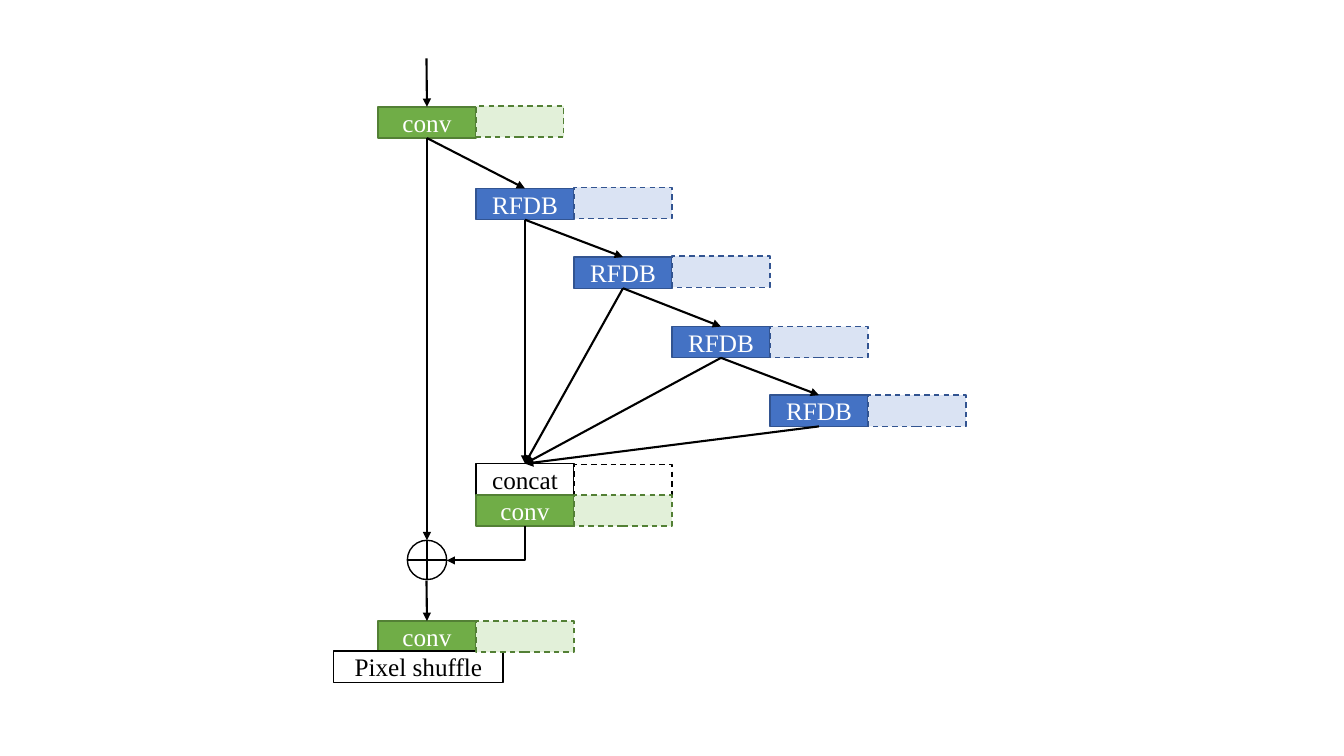
"""Draw the residual feature distillation network as a block diagram."""
from lxml import etree
from pptx import Presentation
from pptx.dml.color import RGBColor
from pptx.enum.dml import MSO_LINE
from pptx.enum.shapes import MSO_CONNECTOR, MSO_SHAPE
from pptx.enum.text import MSO_ANCHOR, PP_ALIGN
from pptx.oxml.ns import qn
from pptx.util import Inches, Pt

BLACK = RGBColor(0x00, 0x00, 0x00)
WHITE = RGBColor(0xFF, 0xFF, 0xFF)
GREEN = RGBColor(0x70, 0xAD, 0x47)
DARK_GREEN = RGBColor(0x53, 0x80, 0x35)
PALE_GREEN = RGBColor(0xE2, 0xF0, 0xD9)
BLUE = RGBColor(0x44, 0x72, 0xC4)
DARK_BLUE = RGBColor(0x32, 0x54, 0x91)
PALE_BLUE = RGBColor(0xDA, 0xE3, 0xF3)

CONV = (GREEN, DARK_GREEN, WHITE, PALE_GREEN)
RFDB = (BLUE, DARK_BLUE, WHITE, PALE_BLUE)
PLAIN = (WHITE, BLACK, BLACK, WHITE)

LEFT = 3.75
STEP = (8.61 - LEFT) / 5
WIDTH, HEIGHT = 0.97, 0.31
TRUNK = 4.23

presentation = Presentation()
presentation.slide_width = Inches(13.33)
presentation.slide_height = Inches(7.5)
slide = presentation.slides.add_slide(presentation.slide_layouts[6])


def add_block(kind, left, top, width, height, fill, line, label="", color=BLACK):
    shape = slide.shapes.add_shape(
        kind, Inches(left), Inches(top), Inches(width), Inches(height))
    shape.shadow.inherit = False
    shape.fill.solid()
    shape.fill.fore_color.rgb = fill
    shape.line.color.rgb = line
    shape.line.width = Pt(1)
    if label:
        shape.text_frame.vertical_anchor = MSO_ANCHOR.MIDDLE
        paragraph = shape.text_frame.paragraphs[0]
        paragraph.alignment = PP_ALIGN.CENTER
        run = paragraph.add_run()
        run.text = label
        run.font.name = "Times New Roman"
        run.font.size = Pt(18)
        run.font.color.rgb = color
    return shape


def add_arrow(start, end, source=None, target=None, kind=MSO_CONNECTOR.STRAIGHT):
    arrow = slide.shapes.add_connector(kind, *[Inches(value) for value in start + end])
    if source is not None:
        arrow.begin_connect(source, 2)
    if target is not None:
        arrow.end_connect(target, 0)
    arrow.line.color.rgb = BLACK
    arrow.line.width = Pt(1.5)
    tail = etree.SubElement(arrow.line._get_or_add_ln(), qn("a:tailEnd"))
    tail.set("type", "triangle")
    etree.SubElement(arrow._element.spPr, qn("a:effectLst"))
    return arrow


# name: column, top, label, palette, ghost top, ghost width
layers = {
    "head": (0, 1.06, "conv", CONV, 1.05, 0.87),
    "rfdb1": (1, 1.87, "RFDB", RFDB, 1.86, WIDTH),
    "rfdb2": (2, 2.55, "RFDB", RFDB, 2.54, WIDTH),
    "rfdb3": (3, 3.24, "RFDB", RFDB, 3.24, WIDTH),
    "rfdb4": (4, 3.92, "RFDB", RFDB, 3.92, WIDTH),
    "concat": (1, 4.6, "concat", PLAIN, 4.61, WIDTH),
    "fusion": (1, 4.91, "conv", CONV, 4.91, WIDTH),
    "tail": (0, 6.16, "conv", CONV, 6.16, WIDTH),
}
blocks = {}
for name, (column, top, label, palette, ghost_top, ghost_width) in layers.items():
    fill, line, color, pale = palette
    blocks[name] = add_block(MSO_SHAPE.RECTANGLE, LEFT + column * STEP, top,
                             WIDTH, HEIGHT, fill, line, label, color)
add_block(MSO_SHAPE.RECTANGLE, 3.31, 6.46, 1.68, HEIGHT, WHITE, BLACK, "Pixel shuffle")
adder = add_block(MSO_SHAPE.FLOWCHART_OR, 4.04, 5.36, 0.39, 0.39, WHITE, BLACK)

chain = [blocks[name] for name in ("head", "rfdb1", "rfdb2", "rfdb3", "rfdb4")]
links = list(zip(chain, chain[1:]))
links += [(block, blocks["concat"]) for block in chain[1:]]
links.append((blocks["head"], adder))
for source, target in links:
    add_arrow((0, 0), (0, 0), source, target)
add_arrow((TRUNK, 0.58), (TRUNK, 1.06), target=blocks["head"])
add_arrow((TRUNK, 5.76), (TRUNK, 6.16), target=blocks["tail"])

elbow = add_arrow((4.65, 5), (4.99, 5.78), kind=MSO_CONNECTOR.ELBOW)
elbow._element.spPr.find(qn("a:prstGeom")).set("prst", "bentConnector2")
elbow._element.spPr.find(qn("a:xfrm")).set("rot", "5400000")

for column, top, label, palette, ghost_top, ghost_width in layers.values():
    fill, line, color, pale = palette
    ghost = add_block(MSO_SHAPE.RECTANGLE, LEFT + (column + 1) * STEP, ghost_top,
                      ghost_width, HEIGHT, pale, line)
    ghost.line.dash_style = MSO_LINE.DASH

presentation.save("out.pptx")
